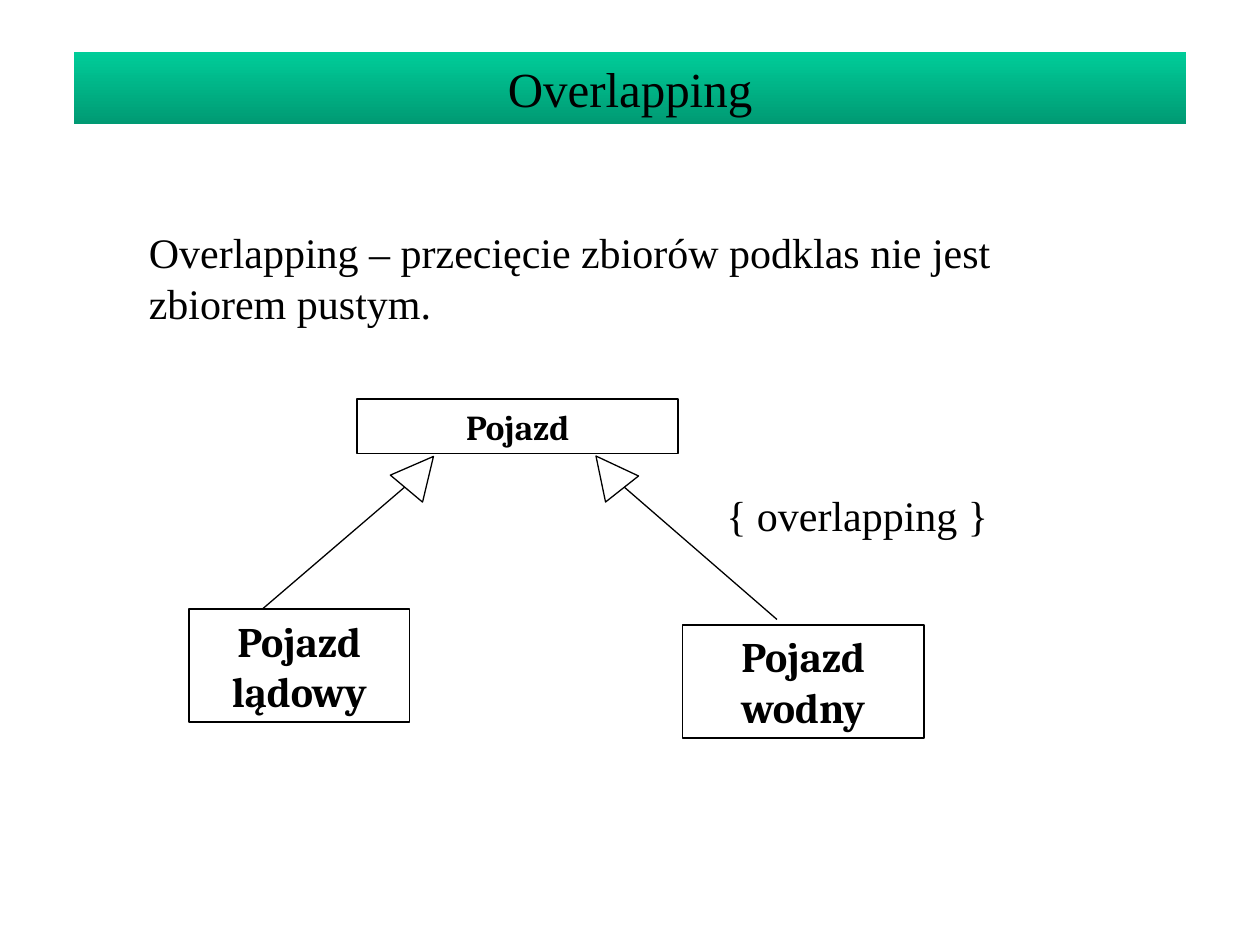
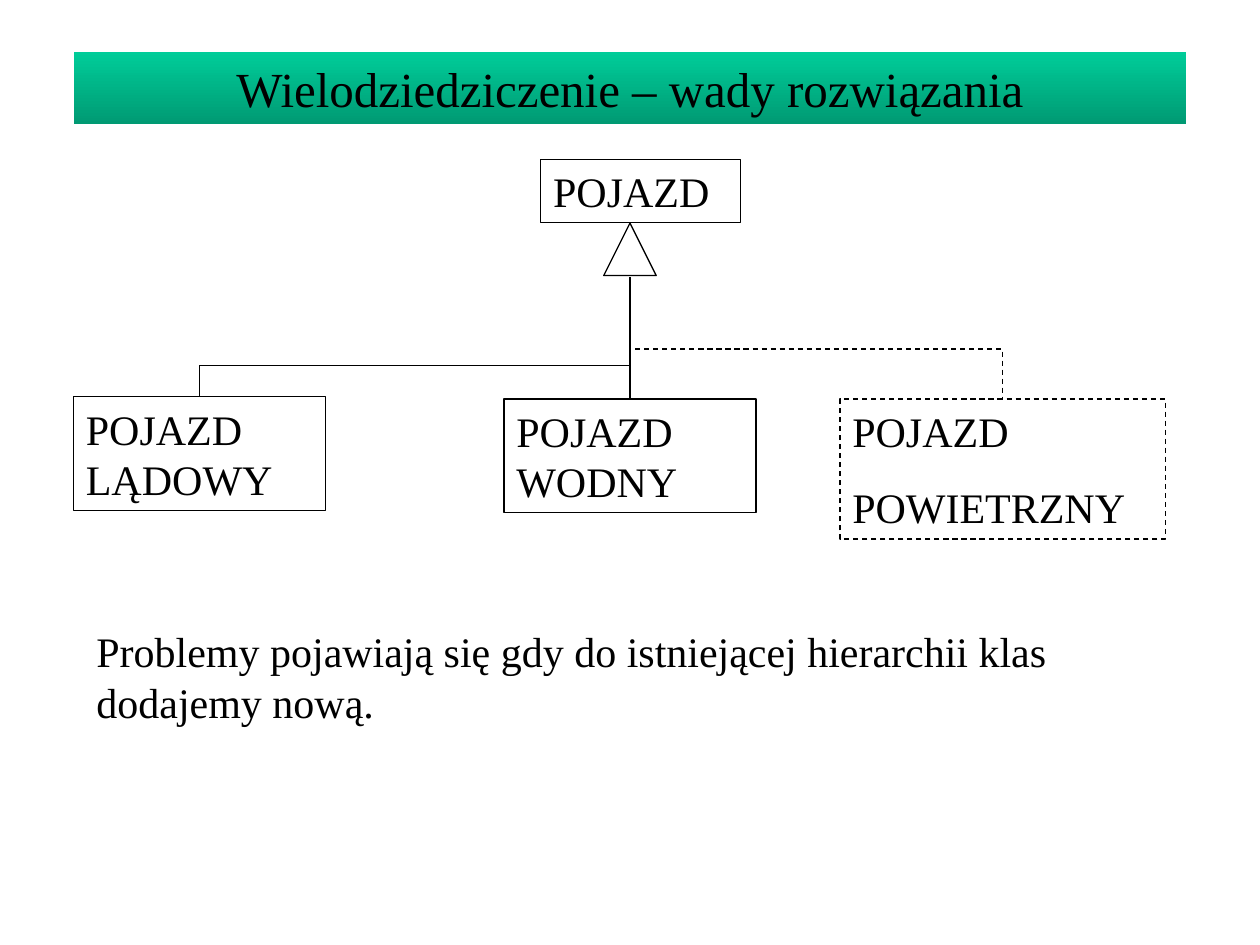
from lxml import etree
from pptx import Presentation
from pptx.dml.color import RGBColor
from pptx.enum import dml, shapes, text
from pptx.oxml import ns
from pptx.util import Inches, Pt

INK = RGBColor(0x00, 0x00, 0x00)
PAPER = RGBColor(0xFF, 0xFF, 0xFF)
BAND_TOP = RGBColor(0x00, 0xCC, 0x99)
BAND_BOTTOM = RGBColor(0x00, 0x9A, 0x73)
SERIF, CLASS_FONT = "Times New Roman", "Cambria"
LEFT, CENTER = text.PP_ALIGN.LEFT, text.PP_ALIGN.CENTER
RECT = shapes.MSO_SHAPE.RECTANGLE
TRIANGLE = shapes.MSO_SHAPE.FLOWCHART_EXTRACT
STRAIGHT, ELBOW = shapes.MSO_CONNECTOR.STRAIGHT, shapes.MSO_CONNECTOR.ELBOW

prs = Presentation()
prs.slide_width, prs.slide_height = Inches(10), Inches(7.5)
CELL = prs.slide_width / 120  # grid of 120 columns and 90 rows
TWO_LINES = 10.8  # rows taken by a two-line box


def add_box(slide, area, lines=(), kind=RECT, size=24, face=SERIF, bold=False,
            align=LEFT, gap=0, border=0.75, dashed=False):
    """Place a shape on the grid; a border of 0 leaves the outline off."""
    box = slide.shapes.add_shape(kind, *(round(n * CELL) for n in area))
    box.shadow.inherit = False
    box.fill.background()
    if border:
        box.line.color.rgb, box.line.width = INK, Pt(border)
        if dashed:
            box.line.dash_style = dml.MSO_LINE.DASH
    else:
        box.line.fill.background()
    if lines:
        frame = box.text_frame
        layout = {"word_wrap": True, "vertical_anchor": text.MSO_ANCHOR.TOP,
                  "auto_size": text.MSO_AUTO_SIZE.SHAPE_TO_FIT_TEXT}
        for key, value in layout.items():
            setattr(frame, key, value)
        for i, line in enumerate(lines):
            para = frame.add_paragraph() if i else frame.paragraphs[0]
            para.alignment = align
            if i:
                para.space_before = Pt(gap)
            run = para.add_run()
            run.text = line
            run.font.color.rgb = INK
            for key, value in {"name": face, "size": Pt(size), "bold": bold}.items():
                setattr(run.font, key, value)
    return box


def add_link(slide, kind, ends, dashed=False):
    """Draw a thin black connector between two grid points."""
    link = slide.shapes.add_connector(kind, *(round(n * CELL) for n in ends))
    link.line.color.rgb, link.line.width = INK, Pt(0.75)
    if dashed:
        link.line.dash_style = dml.MSO_LINE.DASH
    etree.SubElement(link._element.spPr, ns.qn("a:effectLst"))
    return link


# Slides with their title bands
pages = []
for title in ("Overlapping", "Wielodziedziczenie – wady rozwiązania"):
    page = prs.slides.add_slide(prs.slide_layouts[6])
    band = add_box(page, (7, 5, 106, 6.84), [title], size=28, align=CENTER, border=0)
    band.fill.gradient()
    band.fill.gradient_angle = 270
    for stop, colour in zip(band.fill.gradient_stops, (BAND_TOP, BAND_BOTTOM)):
        stop.color.rgb = colour
    pages.append(page)
overlapping, inheritance = pages

# Overlapping: definition and classes
add_box(overlapping, (13, 21, 90, TWO_LINES),
        ["Overlapping – przecięcie zbiorów podklas nie jest zbiorem pustym."], border=0)
for area, name, size in (
    ((34, 38, 30.6, 5.2), ["Pojazd"], 20),
    ((18, 58, 21, TWO_LINES), ["Pojazd", "lądowy"], 24),
    ((65, 59.5, 23, TWO_LINES), ["Pojazd", "wodny"], 24),
):
    add_box(overlapping, area, name, size=size, face=CLASS_FONT, bold=True,
            align=CENTER, border=1)

# Overlapping: generalisation arrows and constraint
for ends, head_left, turn in (((39, 46, 25, 58), 38, 40),
                              ((59, 46, 74, 59), 56, 321.7)):
    add_link(overlapping, STRAIGHT, ends)
    head = add_box(overlapping, (head_left, 43, 4, 4), kind=TRIANGLE)
    head.rotation = turn
    head.fill.solid()
    head.fill.fore_color.rgb = PAPER
add_box(overlapping, (68, 46, 31, 6), ["{ overlapping }"], border=0)

# Inheritance: class tree
add_box(inheritance, (51.5, 15.2, 19, 6), ["POJAZD"])
add_box(inheritance, (57.5, 21.25, 5, 5), kind=TRIANGLE)
add_box(inheritance, (7, 37.8, 24, TWO_LINES), ["POJAZD LĄDOWY"])
add_box(inheritance, (48, 38, 24, TWO_LINES), ["POJAZD WODNY"])
add_box(inheritance, (80, 38, 31, 13.35), ["POJAZD", "POWIETRZNY"],
        gap=15, dashed=True)
add_link(inheritance, STRAIGHT, (60, 26.4, 60, 35))

# Inheritance: elbows that rise above the class boxes
for x1, y1, x2, y2, rise, dashed in ((19, 37.8, 60, 38, 3, False),
                                     (60, 37.9, 95.5, 38, 4.7, True)):
    elbow = add_link(inheritance, ELBOW, (x1, y1, x2, y2), dashed)
    drop, span = y2 - y1, x2 - x1
    elbow.left = round(((x1 + x2 - drop) / 2) * CELL)
    elbow.top = round(((y1 + y2 - span) / 2) * CELL)
    elbow.width, elbow.height = round(drop * CELL), round(span * CELL)
    frame = elbow._element.spPr.find(ns.qn("a:xfrm"))
    frame.set("rot", str(270 * 60000))
    frame.set("flipH", "1")
    bends = elbow._element.spPr.find(ns.qn("a:prstGeom")).find(ns.qn("a:avLst"))
    etree.SubElement(bends, ns.qn("a:gd"), name="adj1",
                     fmla=f"val {round(-rise / drop * 100000)}")

# Inheritance: conclusion
add_box(inheritance, (8, 59, 104, TWO_LINES),
        ["Problemy pojawiają się gdy do istniejącej hierarchii klas dodajemy nową."],
        border=0)

prs.save("out.pptx")
